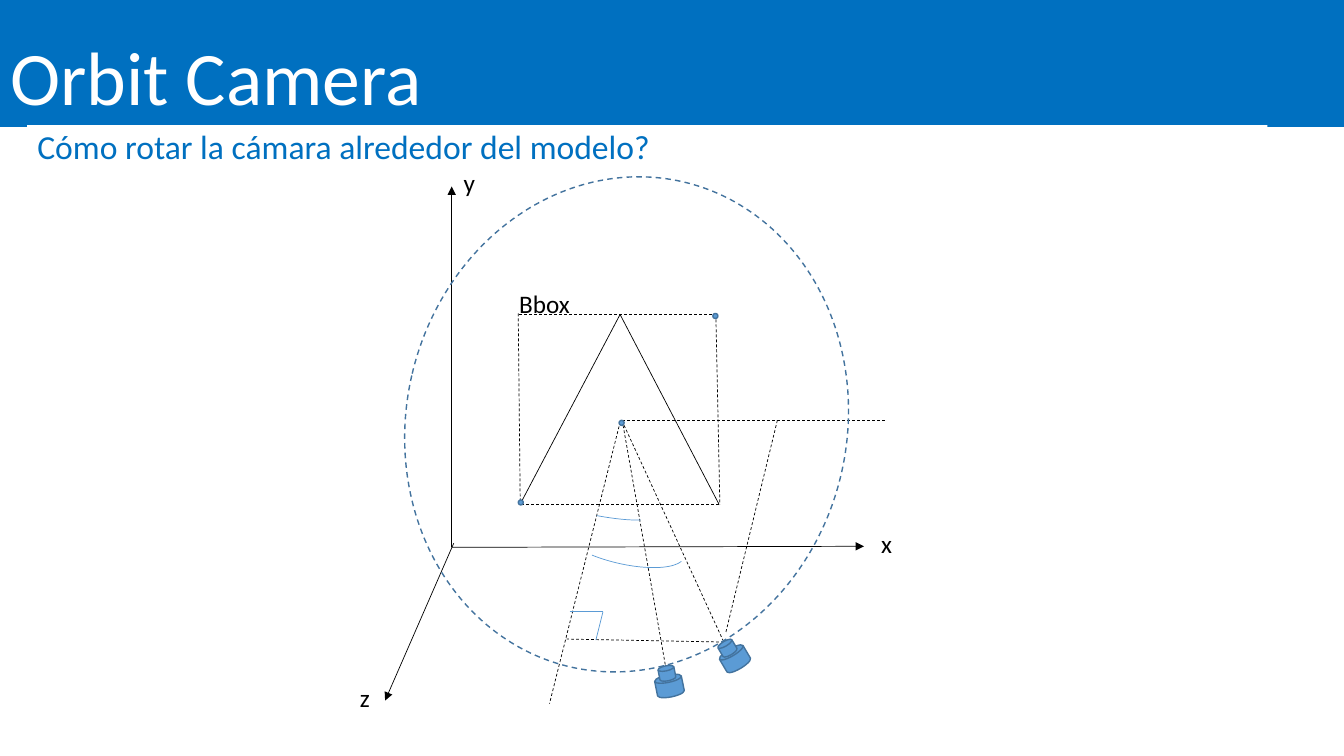
from lxml import etree
from pptx import Presentation
from pptx.dml.color import RGBColor
from pptx.enum.dml import MSO_LINE
from pptx.enum.shapes import MSO_CONNECTOR, MSO_SHAPE
from pptx.enum.text import MSO_ANCHOR, PP_ALIGN
from pptx.oxml.ns import qn
from pptx.util import Inches, Pt

COLORS = {
    "banner": "0070C0",
    "white": "FFFFFF",
    "black": "000000",
    "accent": "5B9BD5",
    "outline": "43739E",
}
FONT = "Calibri"

presentation = Presentation()
presentation.slide_width = Inches(13.33)
presentation.slide_height = Inches(7.5)
CELL = presentation.slide_height / 75

slide = presentation.slides.add_slide(presentation.slide_layouts[0])


def grid(*cells):
    return [round(cell * CELL) for cell in cells]


def add_outlined(shapes, preset, box, rotation=0, fill=None, line="outline", width=1):
    shape = shapes.add_shape(preset, *grid(*box))
    shape.rotation = rotation
    shape.shadow.inherit = False
    if fill:
        shape.fill.solid()
        shape.fill.fore_color.rgb = RGBColor.from_string(COLORS[fill])
    else:
        shape.fill.background()
    shape.line.color.rgb = RGBColor.from_string(COLORS[line])
    shape.line.width = Pt(width)
    return shape


headings = [
    (slide.shapes.title, "Orbit Camera", (0, 0, 133.3, 12.6),
     "banner", "white", 54, PP_ALIGN.LEFT, MSO_ANCHOR.BOTTOM),
    (slide.placeholders[1], "Cómo rotar la cámara alrededor del modelo?", (2.7, 12.4, 123, 10.5),
     "white", "banner", 24, PP_ALIGN.JUSTIFY, MSO_ANCHOR.TOP),
]
for placeholder, text, box, fill, color, size, alignment, anchor in headings:
    placeholder.left, placeholder.top, placeholder.width, placeholder.height = grid(*box)
    placeholder.fill.solid()
    placeholder.fill.fore_color.rgb = RGBColor.from_string(COLORS[fill])
    frame = placeholder.text_frame
    frame.text = text
    frame.vertical_anchor = anchor
    paragraph = frame.paragraphs[0]
    paragraph.alignment = alignment
    paragraph.line_spacing = 0.9
    paragraph.space_before = Pt(0)
    font = paragraph.runs[0].font
    font.name = FONT
    font.size = Pt(size)
    font.color.rgb = RGBColor.from_string(COLORS[color])

axes = [
    (44.8, 54.3, 44.8, 18.5),
    (44.8, 54.3, 85.7, 54.2),
    (45, 53.9, 38.2, 69.5),
]
triangle_sides = [(61.5, 31.2, 51.6, 50), (61.5, 31.2, 71.3, 50)]
bounding_box = [
    (51.7, 50, 71.3, 50),
    (51.4, 31.1, 51.6, 50.1),
    (71, 31.2, 71.4, 50.1),
    (51.5, 31.2, 71.1, 31.2),
]
sight_lines = [
    (61.8, 42.2, 66.1, 66.6),
    (61.4, 42.3, 54.5, 69.8),
    (61.9, 42.2, 71.7, 63.5),
    (71.8, 63.7, 56.2, 63.4),
    (61.7, 41.7, 87.9, 41.7),
    (77.1, 41.7, 72, 62.7),
]
right_angle = [(56.5, 60.7, 59.8, 60.7), (59.1, 63.5, 59.8, 60.7)]

line_groups = [
    (triangle_sides, "black", False, False),
    (bounding_box + sight_lines, "black", True, False),
    (axes, "black", False, True),
    (right_angle, "accent", False, False),
]
for lines, color, dashed, arrow in line_groups:
    for ends in lines:
        connector = slide.shapes.add_connector(MSO_CONNECTOR.STRAIGHT, *grid(*ends))
        connector.line.color.rgb = RGBColor.from_string(COLORS[color])
        connector.line.width = Pt(0.5)
        if dashed:
            connector.line.dash_style = MSO_LINE.DASH
        properties = connector._element.spPr
        if arrow:
            etree.SubElement(properties.find(qn("a:ln")), qn("a:tailEnd"), type="triangle")
        etree.SubElement(properties, qn("a:effectLst"))

for left, top in [(51.4, 49.6), (70.7, 31.1), (61.4, 41.7)]:
    add_outlined(slide.shapes, MSO_SHAPE.OVAL, (left, top, 0.5, 0.5), fill="accent")

cameras = [
    (258.5, (65.3, 66.7), (65.4, 66)),
    (239.5, (71.8, 64), (71.4, 63.5)),
]
for rotation, body, lens in cameras:
    camera = slide.shapes.add_group_shape()
    for corner, size in [(body, (2.2, 2.7)), (lens, (1.5, 1.6))]:
        add_outlined(camera.shapes, MSO_SHAPE.FLOWCHART_DIRECT_ACCESS_STORAGE,
                     corner + size, rotation, "accent")

orbit = add_outlined(slide.shapes, MSO_SHAPE.OVAL, (40.3, 17.4, 43.7, 49.4), 13.3)
orbit.line.dash_style = MSO_LINE.DASH

angle_arcs = [
    ((49.9, 47.7, 15.5, 3.1), (193.26, 211.07)),
    ((55.2, 51.5, 12.9, 4.4), (131.11, 212.87)),
]
for box, angles in angle_arcs:
    arc = add_outlined(slide.shapes, MSO_SHAPE.ARC, box, 13.5, line="accent", width=0.5)
    arc.adjustments[0], arc.adjustments[1] = angles
    arc._element.spPr.find(qn("a:xfrm")).set("flipV", "1")

labels = [
    ("x", 86.4, 51.9, 3.1),
    ("y", 45, 16.1, 3.2),
    ("z", 34.7, 67.2, 3),
    ("Bbox", 50.5, 28.1, 7.1),
]
for text, left, top, width in labels:
    frame = slide.shapes.add_textbox(*grid(left, top, width, 4)).text_frame
    frame.word_wrap = False
    frame.text = text
    font = frame.paragraphs[0].runs[0].font
    font.name = FONT
    font.size = Pt(18)
    font.color.rgb = RGBColor.from_string(COLORS["black"])

presentation.save("out.pptx")
